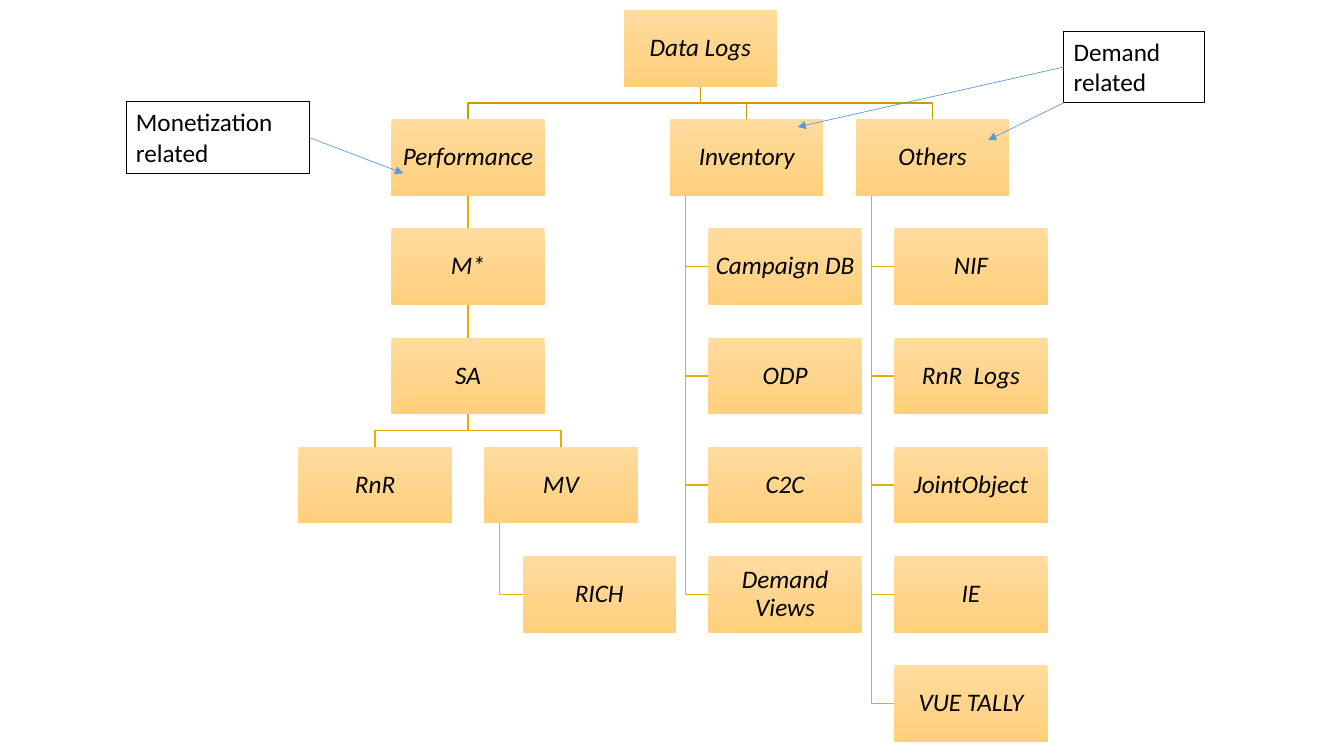
import pptx
import pptx.util
import pptx.dml.color
import pptx.enum.shapes
import pptx.enum.text
import pptx.oxml
import pptx.oxml.ns
from dataclasses import dataclass

BRANCHES = [
    ("Data Logs", None, 3.5, 0),
    ("Performance", "Data Logs", 1, 1),
    ("M*", "Performance", 1, 2),
    ("SA", "M*", 1, 3),
    ("RnR", "SA", 0, 4),
    ("MV", "SA", 2, 4),
    ("Inventory", "Data Logs", 4, 1),
    ("Others", "Data Logs", 6, 1),
]
HANGING = {
    "MV": ["RICH"],
    "Inventory": ["Campaign DB", "ODP", "C2C", "Demand Views"],
    "Others": ["NIF", "RnR  Logs", "JointObject", "IE", "VUE TALLY"],
}
REMARKS = [
    ("Monetization related", (1.25, 1.01, 1.82, 0.71), [(3, (4, 1.72))]),
    ("Demand related", (10.55, 0.31, 1.4, 0.71), [(1, (7.91, 1.26)), (None, (9.8, 1.39))]),
]


@dataclass(frozen=True)
class Theme:
    font: str = "Calibri"
    text_size: float = 18
    text: str = "000000"
    box_top: str = "FFDB9E"
    box_bottom: str = "FFD07C"
    root_line: str = "CC9A00"
    tree_line: str = "E7AE00"
    arrow: str = "5B9BD5"
    tree_width: float = 1
    remark_width: float = 0.75
    arrow_width: float = 0.5


THEME = Theme()
FIRST_LEFT, LAST_LEFT, COLUMNS = 2.96, 8.49, 6
FIRST_TOP, LAST_TOP, ROWS = 0.1, 6.6, 6
BOX_WIDTH, BOX_HEIGHT = 1.52, 0.76
INDENT = BOX_WIDTH / 4
TRUNK = BOX_WIDTH / 10

Inches = pptx.util.Inches
Shape = pptx.enum.shapes.MSO_SHAPE
Connector = pptx.enum.shapes.MSO_CONNECTOR
Align = pptx.enum.text.PP_ALIGN
Anchor = pptx.enum.text.MSO_ANCHOR

deck = pptx.Presentation()
deck.slide_width, deck.slide_height = Inches(13.33), Inches(7.5)
slide = deck.slides.add_slide(deck.slide_layouts[6])


def rgb(value):
    return pptx.dml.color.RGBColor.from_string(value)


def set_line(part, color, width):
    part.line.color.rgb = rgb(color)
    part.line.width = pptx.util.Pt(width)


def write(shape, text, *, align, anchor, margin=None, spacing=None, italic=False, grow=False):
    frame = shape.text_frame
    frame.word_wrap = True
    frame.vertical_anchor = anchor
    if grow:
        frame.auto_size = pptx.enum.text.MSO_AUTO_SIZE.SHAPE_TO_FIT_TEXT
    if margin is not None:
        frame.margin_left = frame.margin_right = Inches(margin)
        frame.margin_top = frame.margin_bottom = Inches(margin)
    paragraph = frame.paragraphs[0]
    paragraph.alignment = align
    paragraph.line_spacing = spacing
    run = paragraph.add_run()
    run.text = text
    run.font.name = THEME.font
    run.font.size = pptx.util.Pt(THEME.text_size)
    run.font.italic = italic
    run.font.color.rgb = rgb(THEME.text)


def add_rectangle(left, top, width, height):
    rectangle = slide.shapes.add_shape(
        Shape.RECTANGLE, Inches(left), Inches(top), Inches(width), Inches(height))
    rectangle.shadow.inherit = False
    return rectangle


def add_box(name, left, top):
    box = add_rectangle(left, top, BOX_WIDTH, BOX_HEIGHT)
    box.fill.gradient()
    box.fill.gradient_angle = 270
    for stop, color in zip(box.fill.gradient_stops, (THEME.box_top, THEME.box_bottom)):
        stop.color.rgb = rgb(color)
    box.line.fill.background()
    write(box, name, align=Align.CENTER, anchor=Anchor.MIDDLE,
          margin=0.01, spacing=0.9, italic=True)
    return box


def add_elbow(points, color):
    corners = [(Inches(x), Inches(y)) for x, y in points]
    builder = slide.shapes.build_freeform(*corners[0], scale=1.0)
    builder.add_line_segments(corners[1:], close=False)
    elbow = builder.convert_to_shape()
    elbow.shadow.inherit = False
    elbow.fill.background()
    set_line(elbow, color, THEME.tree_width)


def add_straight(start, end, color, width):
    straight = slide.shapes.add_connector(
        Connector.STRAIGHT, *(Inches(value) for value in (*start, *end)))
    set_line(straight, color, width)
    straight._element.spPr.append(pptx.oxml.parse_xml(
        f"<a:effectLst {pptx.oxml.ns.nsdecls('a')}/>"))
    return straight


def column_left(column):
    return FIRST_LEFT + column * (LAST_LEFT - FIRST_LEFT) / COLUMNS


def row_top(row):
    return FIRST_TOP + row * (LAST_TOP - FIRST_TOP) / ROWS


boxes, places = {}, {}
for name, parent, column, row in BRANCHES:
    left, top = places[name] = column_left(column), row_top(row)
    boxes[name] = add_box(name, left, top)
    if parent is None:
        continue
    parent_left, parent_top = places[parent]
    start = parent_left + BOX_WIDTH / 2, parent_top + BOX_HEIGHT
    end = left + BOX_WIDTH / 2, top
    if start[0] == end[0]:
        link = add_straight(start, end, THEME.tree_line, THEME.tree_width)
        link.begin_connect(boxes[parent], 2)
        link.end_connect(boxes[name], 0)
    else:
        middle = (start[1] + end[1]) / 2
        color = THEME.root_line if parent == "Data Logs" else THEME.tree_line
        add_elbow([start, (start[0], middle), (end[0], middle), end], color)

for parent, names in HANGING.items():
    parent_left, parent_top = places[parent]
    trunk = parent_left + TRUNK
    for depth, name in enumerate(names, 1):
        left = parent_left + INDENT
        top = parent_top + row_top(depth) - row_top(0)
        middle = top + BOX_HEIGHT / 2
        add_box(name, left, top)
        add_elbow([(trunk, parent_top + BOX_HEIGHT), (trunk, middle), (left, middle)],
                  THEME.tree_line)

for text, (left, top, width, height), targets in REMARKS:
    remark = add_rectangle(left, top, width, height)
    remark.fill.background()
    set_line(remark, THEME.text, THEME.remark_width)
    write(remark, text, align=Align.LEFT, anchor=Anchor.TOP, grow=True)
    for side, target in targets:
        arrow = add_straight((left, top + height), target, THEME.arrow, THEME.arrow_width)
        if side is not None:
            arrow.begin_connect(remark, side)
        arrow.line._get_or_add_ln().append(pptx.oxml.parse_xml(
            f"<a:tailEnd {pptx.oxml.ns.nsdecls('a')} type='triangle'/>"))

deck.save("out.pptx")
